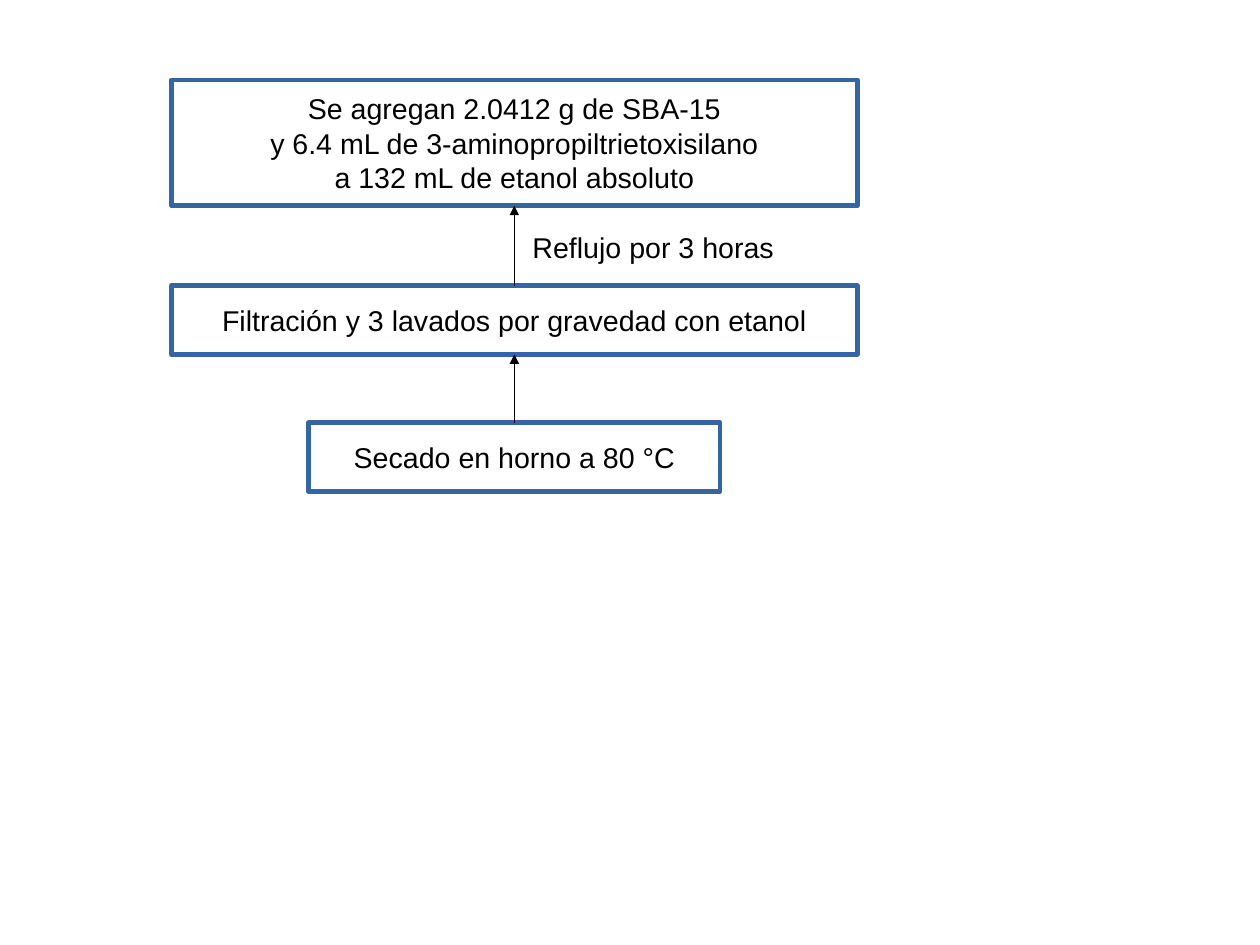
from lxml import etree
from pptx import Presentation
from pptx.dml.color import RGBColor
from pptx.enum.shapes import MSO_CONNECTOR, MSO_SHAPE
from pptx.enum.text import MSO_ANCHOR, MSO_AUTO_SIZE, PP_ALIGN
from pptx.oxml.ns import qn
from pptx.util import Pt

RECTANGLE = MSO_SHAPE.RECTANGLE
STRAIGHT = MSO_CONNECTOR.STRAIGHT
MIDDLE, TOP = MSO_ANCHOR.MIDDLE, MSO_ANCHOR.TOP
CENTER, LEFT = PP_ALIGN.CENTER, PP_ALIGN.LEFT
GROW = MSO_AUTO_SIZE.SHAPE_TO_FIT_TEXT
NO_FIT = MSO_AUTO_SIZE.NONE

BLUE, BLACK = "3465A4", "000000"
HAIRLINE = Pt(0.01)
TOP_SITE, BOTTOM_SITE = 0, 2
AXIS = 324

# top, width, height, lines of text
STEPS = [
    (50.4, 432, 79.2, ["Se agregan 2.0412 g de SBA-15",
                       "y 6.4 mL de 3-aminopropiltrietoxisilano",
                       "a 132 mL de etanol absoluto"]),
    (180, 432, 43.2, ["Filtración y 3 lavados por gravedad con etanol"]),
    (266.4, 259.2, 43.2, ["Secado en horno a 80 °C"]),
]
STEP_FRAME = {"word_wrap": False, "auto_size": NO_FIT, "vertical_anchor": MIDDLE,
              "margin_left": Pt(8.64), "margin_right": Pt(8.64),
              "margin_top": Pt(5.04), "margin_bottom": Pt(5.04)}
LABEL_FRAME = {"word_wrap": False, "auto_size": GROW, "vertical_anchor": TOP,
               "margin_left": Pt(7.2), "margin_right": Pt(7.2),
               "margin_top": Pt(3.6), "margin_bottom": Pt(3.6)}
FONT = {"name": "Arial", "size": Pt(18)}


def color(value):
    return RGBColor.from_string(value)


def set_all(target, values):
    for name, value in values.items():
        setattr(target, name, value)


def write(frame, lines, alignment, frame_format):
    set_all(frame, frame_format)
    for index, line in enumerate(lines):
        para = frame.add_paragraph() if index else frame.paragraphs[0]
        para.alignment = alignment
        span = para.add_run()
        span.text = line
        set_all(span.font, FONT)
        span.font.color.rgb = color(BLACK)


def add_step(page, top, width, height, lines):
    """Add a process box centred on the flow axis."""
    box = page.shapes.add_shape(RECTANGLE, Pt(AXIS - width / 2), Pt(top),
                                Pt(width), Pt(height))
    box.shadow.inherit = False
    box.fill.background()
    box.line.color.rgb = color(BLUE)
    box.line.width = Pt(3)
    write(box.text_frame, lines, CENTER, STEP_FRAME)
    return box


def add_arrow(page, lower, upper):
    arrow = page.shapes.add_connector(STRAIGHT, 0, 0, 0, 0)
    arrow.begin_connect(lower, TOP_SITE)
    arrow.end_connect(upper, BOTTOM_SITE)
    arrow.line.color.rgb = color(BLACK)
    arrow.line.width = HAIRLINE
    outline = arrow._element.spPr.find(qn("a:ln"))
    etree.SubElement(outline, qn("a:tailEnd"), type="triangle")
    etree.SubElement(arrow._element.spPr, qn("a:effectLst"))


def add_label(page, left, top, width, height, text):
    label = page.shapes.add_textbox(Pt(left), Pt(top), Pt(width), Pt(height))
    write(label.text_frame, [text], LEFT, LABEL_FRAME)


def add_flow(page):
    boxes = [add_step(page, *step) for step in STEPS]
    for upper, lower in zip(boxes, boxes[1:]):
        add_arrow(page, lower, upper)
    add_label(page, AXIS + 4.32, 141.12, 166.32, 27.36, "Reflujo por 3 horas")


def main():
    deck = Presentation()
    deck.slide_width, deck.slide_height = Pt(793.7), Pt(595.28)
    add_flow(deck.slides.add_slide(deck.slide_layouts[6]))
    deck.save("out.pptx")


if __name__ == "__main__":
    main()
